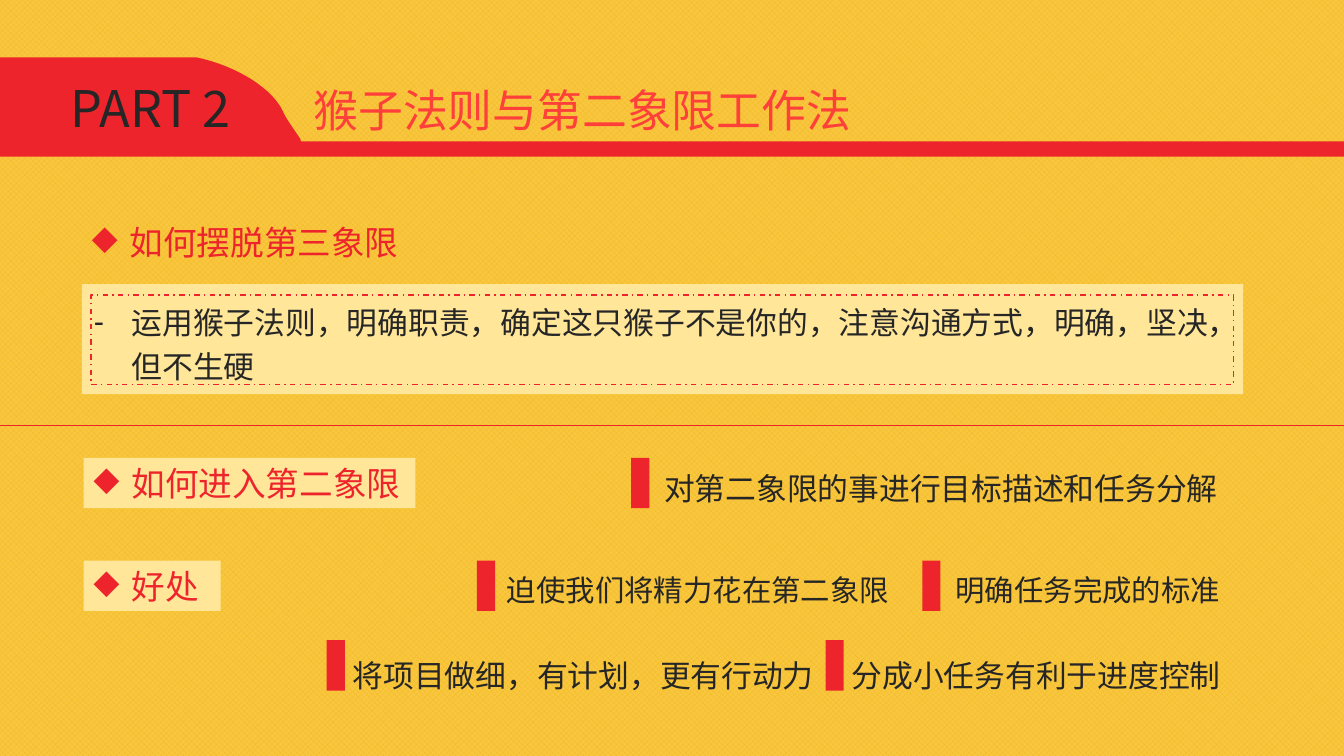
from lxml.etree import SubElement
from pptx import Presentation
from pptx.dml.color import RGBColor
from pptx.enum.dml import MSO_LINE, MSO_PATTERN
from pptx.enum.shapes import MSO_CONNECTOR, MSO_SHAPE
from pptx.enum.text import MSO_ANCHOR, MSO_AUTO_SIZE, PP_ALIGN
from pptx.oxml.ns import qn
from pptx.util import Pt

RED = RGBColor(0xED, 0x24, 0x2C)
CORAL = RGBColor(0xFF, 0x3F, 0x3A)
DARK = RGBColor(0x26, 0x26, 0x26)
CREAM = RGBColor(0xFF, 0xE6, 0x99)
GOLD = RGBColor(0xF8, 0xC7, 0x3F)
AMBER = RGBColor(0xF4, 0xB6, 0x1E)
FACE = "Noto Sans CJK SC"
WIDE, HIGH = 960, 540


def place(shape, box):
    shape.left, shape.top, shape.width, shape.height = map(Pt, box)


def paint(shape, color):
    shape.fill.solid()
    shape.fill.fore_color.rgb = color
    shape.line.fill.background()
    shape.shadow.inherit = False


def block(slide, box, color):
    shape = slide.shapes.add_shape(MSO_SHAPE.RECTANGLE, *map(Pt, box))
    paint(shape, color)
    return shape


def write(shape, text, size, color, lead=1.0, mark=None, inset=(7.2, 3.6, 0, 3.6)):
    frame = shape.text_frame
    frame.word_wrap = True
    frame.auto_size = MSO_AUTO_SIZE.NONE
    frame.vertical_anchor = MSO_ANCHOR.TOP
    (frame.margin_left, frame.margin_top,
     frame.margin_right, frame.margin_bottom) = map(Pt, inset)
    frame.text = text
    para = frame.paragraphs[0]
    para.alignment = PP_ALIGN.LEFT
    para.line_spacing = lead
    para.space_before = Pt(0)
    props = para._p.get_or_add_pPr()
    if mark:
        props.set("marL", str(Pt(27)))
        props.set("indent", str(-Pt(27)))
        SubElement(props, qn("a:buChar")).set("char", mark)
    font = para.font
    font.name = FACE
    SubElement(props.find(qn("a:defRPr")), qn("a:ea")).set("typeface", FACE)
    font.size = Pt(size)
    font.color.rgb = color


def label(slide, box, text, size, color, **style):
    write(slide.shapes.add_textbox(*map(Pt, box)), text, size, color, **style)


def curve(a, b, c, d, steps=16):
    for i in range(1, steps + 1):
        t = i / steps
        s = 1 - t
        yield tuple(s**3 * p + 3 * s * s * t * q + 3 * s * t * t * r + t**3 * e
                    for p, q, r, e in zip(a, b, c, d))


def header(slide, box):
    x, y, w, h = box
    block(slide, (x, y + h - 11, w, 11), RED)
    crest, bend, foot = (140.4, 0), (202.3, 38.9), (214.6, 58.4)
    edge = [crest,
            *curve(crest, (170.6, 6.5), (195.1, 23), bend),
            *curve(bend, (205.2, 45.4), (211, 52.6), foot),
            (216, 64), (0, 64)]
    build = slide.shapes.build_freeform(Pt(x), Pt(y))
    build.add_line_segments([(Pt(x + a), Pt(y + b)) for a, b in edge])
    paint(build.convert_to_shape(), RED)
    label(slide, (x + 43.2, y + 10.8, 144, 51), "PART 2", 36, DARK)
    title = slide.shapes.title
    place(title, (x + 216.7, y + 14.4, 399, 46))
    write(title, "猴子法则与第二象限工作法", 32, CORAL)


def escape(slide, box):
    x, y, w, h = box
    label(slide, (x, y, 250, 36), "如何摆脱第三象限", 24, RED, mark="◆")
    body = slide.placeholders[1]
    place(body, (x, y + 48.2, w, h - 48.2))
    body.fill.solid()
    body.fill.fore_color.rgb = CREAM
    write(body, "运用猴子法则，明确职责，确定这只猴子不是你的，注意沟通方式，明确，坚决，但不生硬",
          22, DARK, lead=1.2, mark="-", inset=(8.6, 8.6, 7.2, 5.8))
    frame = slide.shapes.add_shape(
        MSO_SHAPE.RECTANGLE, Pt(x + 6.5), Pt(y + 56), Pt(w - 13.5), Pt(64))
    frame.shadow.inherit = False
    frame.fill.background()
    frame.line.color.rgb = RED
    frame.line.width = Pt(1)
    frame.line.dash_style = MSO_LINE.DASH_DOT


def rule(slide, y):
    line = slide.shapes.add_connector(MSO_CONNECTOR.STRAIGHT, 0, Pt(y), Pt(WIDE), Pt(y))
    line.line.color.rgb = RED
    line.line.width = Pt(0.5)
    SubElement(line._element.spPr, qn("a:effectLst"))


def enter(slide, box):
    x, y = box[:2]
    tags = [(0, 236.9, "如何进入第二象限"), (73.4, 97.9, "好处")]
    for dy, w, text in tags:
        tag = block(slide, (x, y + dy, w, 36), CREAM)
        write(tag, text, 24, RED, mark="◆")
    points = [
        (391, 0, 16.6, 22, 1.2, "对第二象限的事进行目标描述和任务分解"),
        (280.8, 73.4, 14.4, 21, 1.2, "迫使我们将精力花在第二象限"),
        (599, 73.4, 16.6, 21, 1.2, "明确任务完成的标准"),
        (173.5, 130.3, 11.5, 22, 1.3, "将项目做细，有计划，更有行动力"),
        (529.9, 130.3, 11.5, 22, 1.3, "分成小任务有利于进度控制"),
    ]
    for dx, dy, gap, size, lead, text in points:
        block(slide, (x + dx, y + dy, 13, 36), RED)
        label(slide, (x + dx + gap, y + dy, len(text) * size + 16, 39),
              text, size, DARK, lead=lead)


def main():
    deck = Presentation()
    deck.slide_width, deck.slide_height = Pt(WIDE), Pt(HIGH)
    slide = deck.slides.add_slide(deck.slide_layouts[1])
    fill = slide.background.fill
    fill.patterned()
    fill.pattern = MSO_PATTERN.SOLID_DIAMOND
    fill.fore_color.rgb = AMBER
    fill.back_color.rgb = GOLD
    header(slide, (0, 41, WIDE, 71))
    escape(slide, (58.5, 154.8, 829.4, 126.7))
    rule(slide, 303.8)
    enter(slide, (59.8, 327, 830, 169))
    deck.save("out.pptx")


if __name__ == "__main__":
    main()
